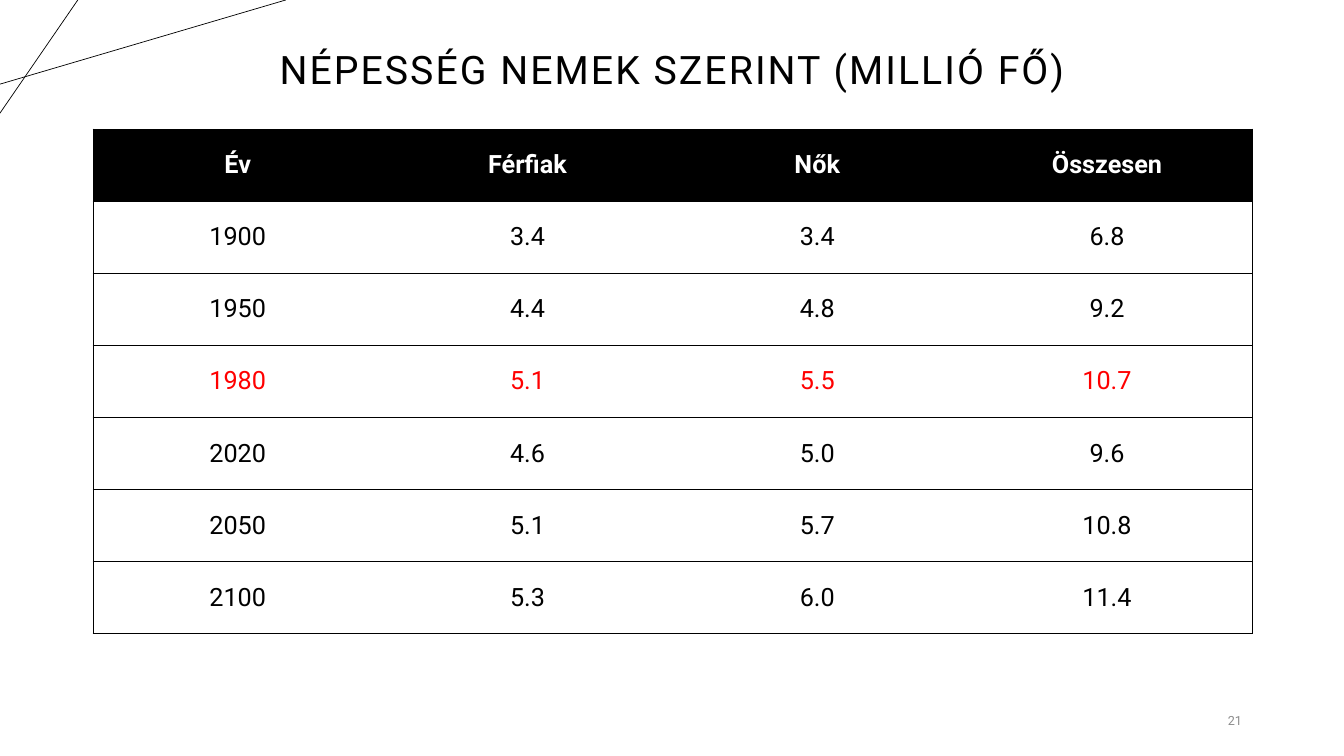
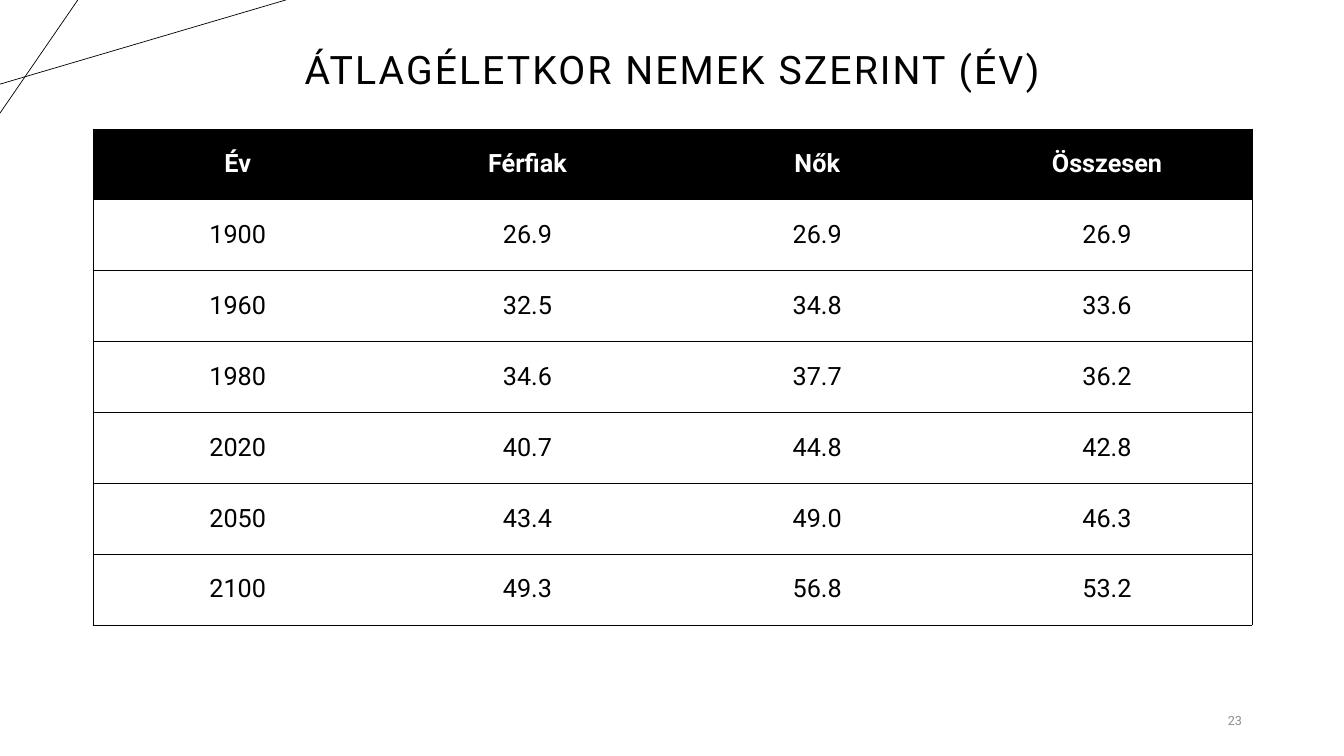
from lxml import etree
from pptx import Presentation
from pptx.dml.color import RGBColor
from pptx.enum import shapes, text
from pptx.oxml import ns
from pptx import util as u

BLACK, WHITE, RED, GRAY = "000000", "FFFFFF", "FF0000", "8C8C8C"
LEFT, WIDTH = 2.34, 29.21
CORNER_LINES = [(0, 2.12, 7.2, 0), (1.96, 0, 0, 2.85)]
HEADER = ["Év", "Férfiak", "Nők", "Összesen"]
TITLE = {"size": u.Pt(28)}
HEAD = {"size": u.Pt(18), "bold": True}
BODY = {"size": u.Pt(18), "bold": False}
NUMBER = {"size": u.Pt(9)}

SLIDES = [
    {
        "title": "NÉPESSÉG NEMEK SZERINT (MILLIÓ FŐ)",
        "number": "21",
        "height": 12.72,
        "marked": "1980",
        "rows": [
            ["1900", "3.4", "3.4", "6.8"],
            ["1950", "4.4", "4.8", "9.2"],
            ["1980", "5.1", "5.5", "10.7"],
            ["2020", "4.6", "5.0", "9.6"],
            ["2050", "5.1", "5.7", "10.8"],
            ["2100", "5.3", "6.0", "11.4"],
        ],
    },
    {
        "title": "ÁTLAGÉLETKOR NEMEK SZERINT (ÉV)",
        "number": "23",
        "height": 12.5,
        "marked": None,
        "rows": [
            ["1900", "26.9", "26.9", "26.9"],
            ["1960", "32.5", "34.8", "33.6"],
            ["1980", "34.6", "37.7", "36.2"],
            ["2020", "40.7", "44.8", "42.8"],
            ["2050", "43.4", "49.0", "46.3"],
            ["2100", "49.3", "56.8", "53.2"],
        ],
    },
]


def rgb(color):
    """Turn a hex string into a colour."""
    return RGBColor.from_string(color)


class Deck:
    """Hold the presentation, its style and the current slide."""

    font = "Roboto"
    line_width = u.Pt(0.5)

    def __init__(self):
        """Start an empty widescreen presentation."""
        self.prs = Presentation()
        self.prs.slide_width, self.prs.slide_height = u.Cm(33.87), u.Cm(19.05)
        self.s = None

    def new_slide(self):
        """Add a slide with the two crossing corner lines."""
        self.s = self.prs.slides.add_slide(self.prs.slide_layouts[5])
        for ends in CORNER_LINES:
            self.line(*ends)

    def line(self, x1, y1, x2, y2):
        """Draw a thin straight line."""
        cx = self.s.shapes.add_connector(
            shapes.MSO_CONNECTOR.STRAIGHT, u.Cm(x1), u.Cm(y1), u.Cm(x2), u.Cm(y2))
        cx.line.color.rgb = rgb(BLACK)
        cx.line.width = self.line_width
        etree.SubElement(cx.element.spPr, ns.qn("a:effectLst"))

    def add_text(self, tf, content, style, color, align):
        """Fill a text frame with one formatted paragraph."""
        p = tf.paragraphs[0]
        p.alignment = align
        r = p.add_run()
        r.text = content
        for name, value in {"name": self.font, **style}.items():
            setattr(r.font, name, value)
        r.font.color.rgb = rgb(color)
        return p

    def title(self, content):
        """Place and format the title placeholder."""
        sp = self.s.shapes.title
        sp.left, sp.top, sp.width, sp.height = map(u.Cm, (LEFT, 0.99, WIDTH, 1.47))
        tf = sp.text_frame
        tf.auto_size = text.MSO_AUTO_SIZE.NONE
        tf.vertical_anchor = text.MSO_ANCHOR.BOTTOM
        p = self.add_text(tf, content, TITLE, BLACK, text.PP_ALIGN.CENTER)
        p.line_spacing = 0.9
        sp.element.xpath(".//a:rPr")[0].set("spc", "150")

    def number(self, content):
        """Add the page number at the bottom right."""
        sp = self.s.shapes.add_textbox(u.Cm(28.8), u.Cm(17.65), u.Cm(2.75), u.Cm(1.01))
        tf = sp.text_frame
        tf.word_wrap = True
        tf.vertical_anchor = text.MSO_ANCHOR.MIDDLE
        self.add_text(tf, content, NUMBER, GRAY, text.PP_ALIGN.RIGHT)

    def borders(self, cell, sides):
        """Draw the named sides of a cell and clear the others."""
        tcPr = cell._tc.get_or_add_tcPr()
        for side in "LRTB":
            ln = etree.SubElement(
                tcPr, ns.qn(f"a:ln{side}"), w=str(int(self.line_width)))
            if side in sides:
                fill = etree.SubElement(ln, ns.qn("a:solidFill"))
                etree.SubElement(fill, ns.qn("a:srgbClr"), val=BLACK)
            else:
                etree.SubElement(ln, ns.qn("a:noFill"))

    def table(self, rows, height, marked):
        """Add a ruled table with a black header and one optional marked row."""
        rows = [HEADER] + rows
        last = len(HEADER) - 1
        tbl = self.s.shapes.add_table(
            len(rows), len(HEADER),
            u.Cm(LEFT), u.Cm(3.25), u.Cm(WIDTH), u.Cm(height)).table
        tbl.horz_banding = False
        for i, row in enumerate(rows):
            style, fill, color = (BODY, WHITE, BLACK) if i else (HEAD, BLACK, WHITE)
            if row[0] == marked:
                color = RED
            for j, value in enumerate(row):
                cell = tbl.cell(i, j)
                sides = "TB" + "L" * (j == 0) + "R" * (j == last)
                self.borders(cell, sides)
                cell.fill.solid()
                cell.fill.fore_color.rgb = rgb(fill)
                cell.vertical_anchor = text.MSO_ANCHOR.MIDDLE
                self.add_text(
                    cell.text_frame, value, style, color, text.PP_ALIGN.CENTER)


def main():
    """Build and save the slides."""
    deck = Deck()
    for data in SLIDES:
        deck.new_slide()
        deck.title(data["title"])
        deck.table(data["rows"], data["height"], data["marked"])
        deck.number(data["number"])
    deck.prs.save("out.pptx")


if __name__ == "__main__":
    main()
